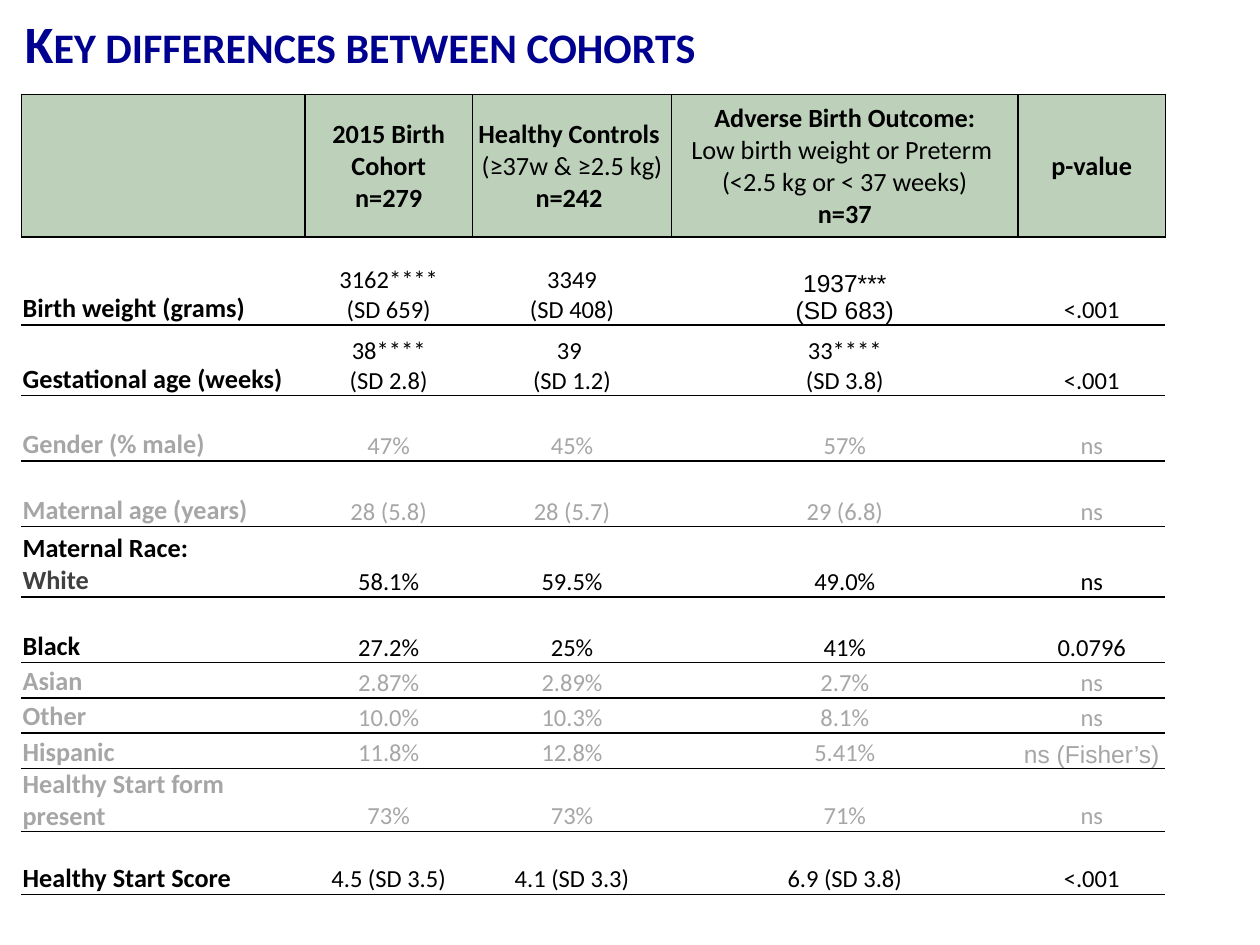
from lxml import etree
from pptx import Presentation
from pptx.dml.color import RGBColor
from pptx.enum.text import MSO_ANCHOR as Anchor, PP_ALIGN as Align
from pptx.oxml.ns import qn
from pptx.util import Inches, Pt

NAVY = RGBColor(0x00, 0x00, 0x90)
BLACK = RGBColor(0x00, 0x00, 0x00)
CHARCOAL = RGBColor(0x40, 0x40, 0x40)
GREY = RGBColor(0xA6, 0xA6, 0xA6)
SAGE = RGBColor(0xBC, 0xD0, 0xBA)

COLUMN_WIDTHS = [2.25, 1.33, 1.58, 2.75, 1.17]
HEADER_HEIGHT = 1.13

# Header lines per column, as (text, bold)
HEADERS = [
    [],
    [("2015 Birth Cohort", True), ("n=279", True)],
    [("Healthy Controls ", True), ("(≥37w & ≥2.5 kg)", False), ("n=242 ", True)],
    [("Adverse Birth Outcome:", True), ("Low birth weight or Preterm ", False),
     ("(<2.5 kg or < 37 weeks)", False), ("n=37", True)],
    [("p-value", True)],
]

# Row height, text colour, then label, three cohorts and p-value
ROWS = [
    (0.7, BLACK, ["Birth weight (grams)", "3162****\n(SD 659)", "3349\n(SD 408)",
                  "1937***\n(SD 683)", "<.001"]),
    (0.56, BLACK, ["Gestational age (weeks)", "38****\n(SD 2.8)", "39 \n(SD 1.2)",
                   "33****\n(SD 3.8)", "<.001"]),
    (0.52, GREY, ["Gender (% male)", "47%", "45%", "57%", "ns"]),
    (0.52, GREY, ["Maternal age (years)", "28 (5.8)", "28 (5.7)", "29 (6.8)", "ns"]),
    (0.56, BLACK, ["Maternal Race:\nWhite", "58.1%", "59.5%", "49.0%", "ns"]),
    (0.52, BLACK, ["Black", "27.2%", "25%", "41%", "0.0796"]),
    (0.28, GREY, ["Asian", "2.87%", "2.89%", "2.7%", "ns"]),
    (0.28, GREY, ["Other", "10.0%", "10.3%", "8.1%", "ns"]),
    (0.28, GREY, ["Hispanic", "11.8%", "12.8%", "5.41%", "ns (Fisher’s)"]),
    (0.5, GREY, ["Healthy Start form present", "73%", "73%", "71%", "ns"]),
    (0.5, BLACK, ["Healthy Start Score", "4.5 (SD 3.5)", "4.1 (SD 3.3)",
                  "6.9 (SD 3.8)", "<.001"]),
]
ARIAL_CELLS = {"1937***\n(SD 683)", "ns (Fisher’s)"}


def add_run(paragraph, text, color, **font_format):
    run = paragraph.add_run()
    run.text = text
    for name, value in {"name": "Calibri", **font_format}.items():
        setattr(run.font, name, value)
    run.font.color.rgb = color
    return run


def set_borders(cell, black_sides):
    properties = cell._tc.get_or_add_tcPr()
    for side in "LRTB":
        line = etree.SubElement(properties, qn(f"a:ln{side}"), w=str(Pt(1)))
        if side in black_sides:
            fill = etree.SubElement(line, qn("a:solidFill"))
            etree.SubElement(fill, qn("a:srgbClr"), val=str(BLACK))
        else:
            etree.SubElement(line, qn("a:noFill"))


def fill_cell(cell, lines, align, anchor, top_margin=0):
    """Write lines given as (text, colour, font format), one paragraph each."""
    cell_format = {
        "margin_left": Inches(0.01), "margin_right": Inches(0.01),
        "margin_top": Inches(top_margin), "margin_bottom": 0,
        "vertical_anchor": anchor,
    }
    for name, value in cell_format.items():
        setattr(cell, name, value)
    frame = cell.text_frame
    for index, (text, color, font_format) in enumerate(lines):
        paragraph = frame.add_paragraph() if index else frame.paragraphs[0]
        paragraph.alignment = align
        add_run(paragraph, text, color, **font_format)


def add_title(slide, left, top, width, height):
    box = slide.shapes.add_textbox(Inches(left), Inches(top), Inches(width), Inches(height))
    frame = box.text_frame
    frame.word_wrap = True
    frame.vertical_anchor = Anchor.MIDDLE
    run = add_run(frame.paragraphs[0], "Key differences between cohorts", NAVY,
                  size=Pt(30), bold=True)
    run._r.get_or_add_rPr().set("cap", "small")


def add_cohort_table(slide, left, top, width, height):
    shape = slide.shapes.add_table(len(ROWS) + 1, len(COLUMN_WIDTHS), Inches(left),
                                   Inches(top), Inches(width), Inches(height))
    table = shape.table
    table.first_row = table.horz_banding = False
    for column, column_width in zip(table.columns, COLUMN_WIDTHS):
        column.width = Inches(column_width)
    heights = [HEADER_HEIGHT] + [row_height for row_height, _, _ in ROWS]
    for row, row_height in zip(table.rows, heights):
        row.height = Inches(row_height)

    # Header row
    for column_index, header in enumerate(HEADERS):
        cell = table.cell(0, column_index)
        set_borders(cell, "LRTB")
        cell.fill.solid()
        cell.fill.fore_color.rgb = SAGE
        lines = [(text, BLACK, {"size": Pt(15), "bold": bold}) for text, bold in header]
        fill_cell(cell, lines, Align.CENTER, Anchor.MIDDLE, top_margin=0.01)

    # Body rows, ruled above and below
    for row_index, (_, color, texts) in enumerate(ROWS, start=1):
        for column_index, text in enumerate(texts):
            cell = table.cell(row_index, column_index)
            set_borders(cell, "TB")
            cell.fill.background()
            is_label = column_index == 0
            font_format = {
                "size": Pt(15 if is_label else 14), "bold": is_label,
                "name": "Arial" if text in ARIAL_CELLS else "Calibri",
            }
            lines = [(line, CHARCOAL if line == "White" else color, font_format)
                     for line in text.split("\n")]
            fill_cell(cell, lines, Align.LEFT if is_label else Align.CENTER, Anchor.BOTTOM)


def main():
    presentation = Presentation()
    presentation.slide_width = Inches(10)
    presentation.slide_height = Inches(7.5)
    slide = presentation.slides.add_slide(presentation.slide_layouts[6])
    add_title(slide, 0.1, 0.09, 8.17, 0.5)
    add_cohort_table(slide, 0.17, 0.75, 9.08, 6.35)
    presentation.save("out.pptx")


if __name__ == "__main__":
    main()
